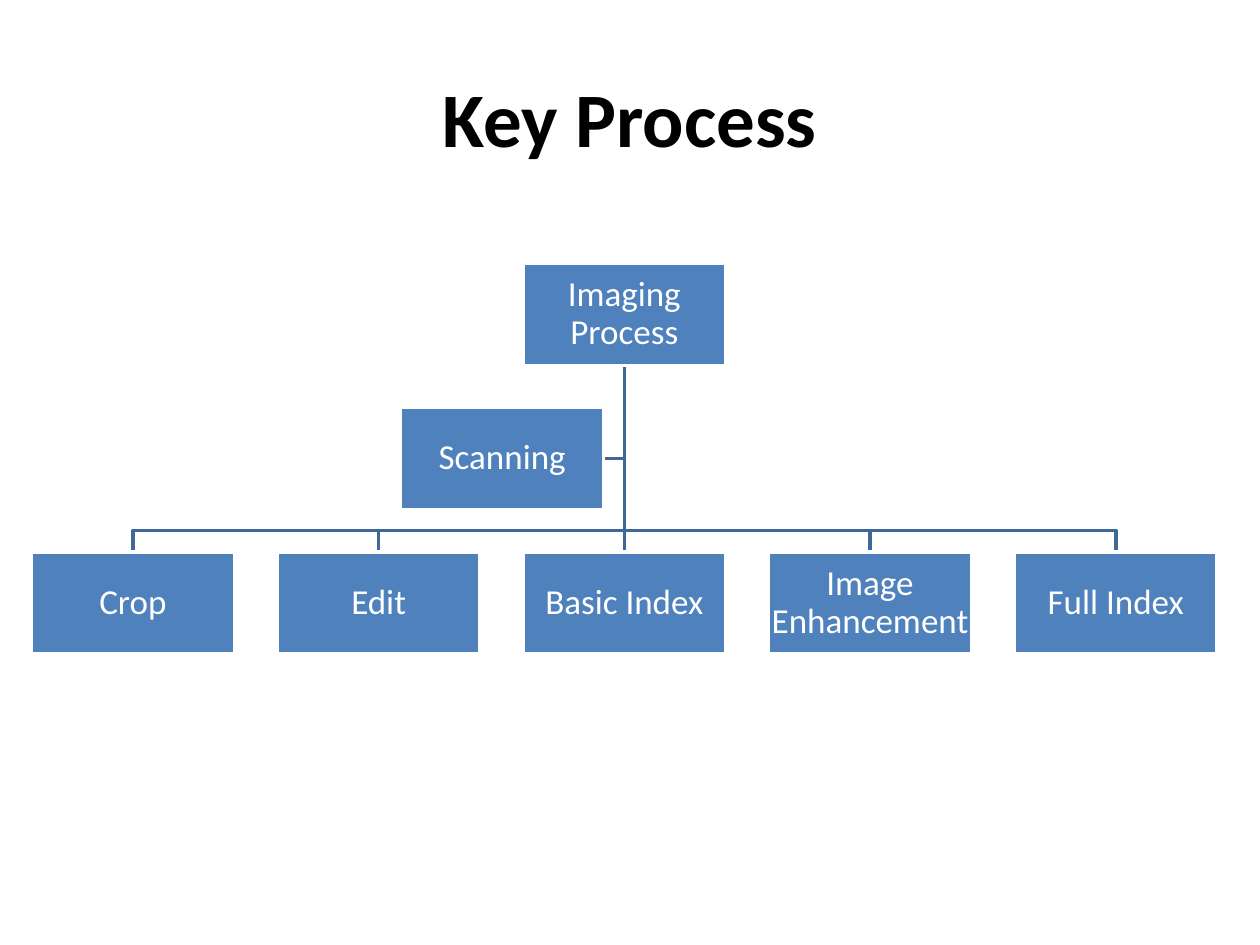
from dataclasses import dataclass

from pptx import Presentation
from pptx import util as u
from pptx.dml.color import RGBColor
from pptx.enum import shapes, text
from pptx.oxml.ns import qn
from lxml import etree


@dataclass(frozen=True)
class Theme:
    font: str = "Calibri"
    title_size: float = 44
    box_size: float = 20
    line_width: float = 2
    title_color: RGBColor = RGBColor(0, 0, 0)
    box_fill: RGBColor = RGBColor(0x4F, 0x81, 0xBD)
    box_text: RGBColor = RGBColor(0xFF, 0xFF, 0xFF)
    link: RGBColor = RGBColor(0x3F, 0x67, 0x97)


class ChartPage:
    """Draws the elements of an organisation chart on one slide."""

    def __init__(self, page, theme):
        self.page = page
        self.theme = theme

    def style_text(self, para, size, color, bold=False):
        para.alignment = text.PP_ALIGN.CENTER
        for span in para.runs:
            span.font.name = self.theme.font
            span.font.size = u.Pt(size)
            span.font.bold = bold
            span.font.color.rgb = color

    def style_line(self, line, color):
        line.color.rgb = color
        line.width = u.Pt(self.theme.line_width)

    def title(self, wording, left, top, width, height):
        box = self.page.shapes.title
        box.left, box.top = u.Pt(left), u.Pt(top)
        box.width, box.height = u.Pt(width), u.Pt(height)
        box.text_frame.text = wording
        box.text_frame.vertical_anchor = text.MSO_ANCHOR.MIDDLE
        self.style_text(box.text_frame.paragraphs[0], self.theme.title_size,
                        self.theme.title_color, bold=True)

    def box(self, wording, left, top, width, height):
        box = self.page.shapes.add_shape(
            shapes.MSO_SHAPE.RECTANGLE,
            u.Pt(left), u.Pt(top), u.Pt(width), u.Pt(height))
        box.shadow.inherit = False
        box.fill.solid()
        box.fill.fore_color.rgb = self.theme.box_fill
        self.style_line(box.line, self.theme.box_text)
        frame = box.text_frame
        frame.word_wrap = True
        frame.vertical_anchor = text.MSO_ANCHOR.MIDDLE
        frame.margin_left = frame.margin_right = u.Pt(0.9)
        frame.margin_top = frame.margin_bottom = u.Pt(0.9)
        frame.text = wording
        para = frame.paragraphs[0]
        para.line_spacing = 0.9
        self.style_text(para, self.theme.box_size, self.theme.box_text)

    def straight_link(self, start, end):
        link = self.page.shapes.add_connector(
            shapes.MSO_CONNECTOR.STRAIGHT,
            *(u.Pt(value) for value in (*start, *end)))
        self.style_line(link.line, self.theme.link)
        etree.SubElement(link._element.spPr, qn("a:effectLst"))

    def bent_link(self, *points):
        start, *others = [(u.Pt(x), u.Pt(y)) for x, y in points]
        builder = self.page.shapes.build_freeform(*start)
        builder.add_line_segments(others, close=False)
        link = builder.convert_to_shape()
        link.shadow.inherit = False
        link.fill.background()
        self.style_line(link.line, self.theme.link)


def main():
    deck = Presentation()
    deck.slide_width, deck.slide_height = u.Pt(720), u.Pt(540)
    chart = ChartPage(deck.slides.add_slide(deck.slide_layouts[5]), Theme())
    chart.title("Key Process", 36, 21.6, 648, 90)

    # Grid: three levels, five columns
    steps = ["Crop", "Edit", "Basic Index", "Image Enhancement", "Full Index"]
    width, height = 116, 58.3
    root_top, assistant_top, step_top = (150.5 + 82.4 * row for row in range(3))
    lefts = [18 + 140.4 * column for column in range(len(steps))]
    root_left = lefts[len(steps) // 2]
    assistant_left = 229
    trunk = root_left + width / 2
    root_bottom = root_top + height
    bus = step_top - 12.2

    # Links, behind the boxes
    assistant_middle = assistant_top + height / 2
    chart.bent_link((trunk, root_bottom), (trunk, assistant_middle),
                    (assistant_left + width, assistant_middle))
    for left in reversed(lefts):
        center = left + width / 2
        if left == root_left:
            chart.straight_link((trunk, root_bottom), (trunk, step_top))
        else:
            chart.bent_link((trunk, root_bottom), (trunk, bus),
                            (center, bus), (center, step_top))

    # Boxes
    chart.box("Imaging Process", root_left, root_top, width, height)
    for wording, left in zip(steps, lefts):
        chart.box(wording, left, step_top, width, height)
    chart.box("Scanning", assistant_left, assistant_top, width, height)

    deck.save("out.pptx")


if __name__ == "__main__":
    main()
